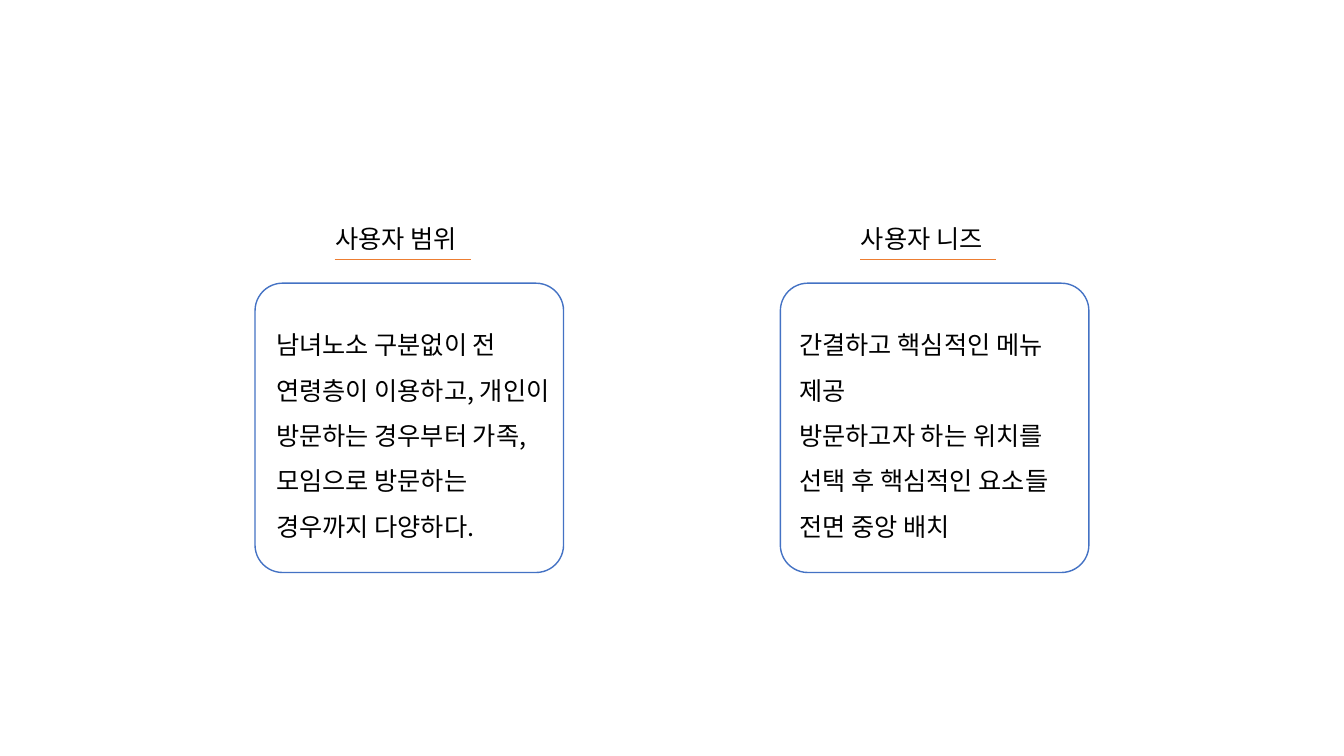
from pptx import Presentation
from pptx.dml.color import RGBColor
from pptx.enum.shapes import MSO_CONNECTOR as Connector, MSO_SHAPE as Shape
from pptx.enum.text import MSO_AUTO_SIZE as AutoSize
from pptx.oxml.ns import qn
from pptx.util import Inches, Pt
from lxml import etree

FONT = "Noto Sans CJK KR"
COLORS = {"text": "000000", "card": "FFFFFF", "border": "4472C4", "rule": "ED7D31"}

# Card left edge, text left edge, heading, body paragraphs
COLUMNS = [
    (2.53, 2.64, "사용자 범위", [
        "남녀노소 구분없이 전 연령층이 이용하고, 개인이 방문하는 경우부터 "
        "가족, 모임으로 방문하는 경우까지 다양하다."]),
    (7.74, 7.83, "사용자 니즈", [
        "간결하고 핵심적인 메뉴 제공",
        "방문하고자 하는 위치를 선택 후 핵심적인 요소들 전면 중앙 배치"]),
]


def color(name):
    return RGBColor.from_string(COLORS[name])


def add_text(slide, left, top, width, height, lines, spacing=1.0):
    box = slide.shapes.add_textbox(
        Inches(left), Inches(top), Inches(width), Inches(height))
    frame = box.text_frame
    frame.word_wrap = True
    frame.auto_size = AutoSize.SHAPE_TO_FIT_TEXT
    frame.text = "\n".join(lines)
    for paragraph in frame.paragraphs:
        paragraph.line_spacing = spacing
        font = paragraph.runs[0].font
        for name, value in {"size": Pt(18), "name": FONT}.items():
            setattr(font, name, value)
        font.color.rgb = color("text")
        # Korean glyphs use the East Asian typeface
        properties = paragraph.runs[0]._r.get_or_add_rPr()
        etree.SubElement(properties, qn("a:ea")).set("typeface", FONT)


def add_card(slide, left, top, width, height):
    card = slide.shapes.add_shape(
        Shape.ROUNDED_RECTANGLE,
        Inches(left), Inches(top), Inches(width), Inches(height))
    card.adjustments[0] = 0.095
    card.shadow.inherit = False
    card.fill.solid()
    card.fill.fore_color.rgb = color("card")
    card.line.color.rgb = color("border")
    card.line.width = Pt(1)


def add_rule(slide, left, top, width):
    rule = slide.shapes.add_connector(
        Connector.STRAIGHT,
        Inches(left), Inches(top), Inches(left + width), Inches(top))
    rule.line.color.rgb = color("rule")
    rule.line.width = Pt(0.5)
    etree.SubElement(rule._element.spPr, qn("a:effectLst"))


def add_column(slide, left, text_left, heading, body):
    add_text(slide, left + 0.7, 2.17, 1.57, 0.4, [heading])
    add_card(slide, left, 2.81, 3.06, 2.87)
    add_text(slide, text_left, 3.07, 2.91, 2.31, body, 1.5)
    add_rule(slide, left + 0.79, 2.57, 1.35)


def main():
    presentation = Presentation()
    presentation.slide_width = Inches(13.33)
    presentation.slide_height = Inches(7.5)
    slide = presentation.slides.add_slide(presentation.slide_layouts[6])
    for column in COLUMNS:
        add_column(slide, *column)
    presentation.save("out.pptx")


if __name__ == "__main__":
    main()
